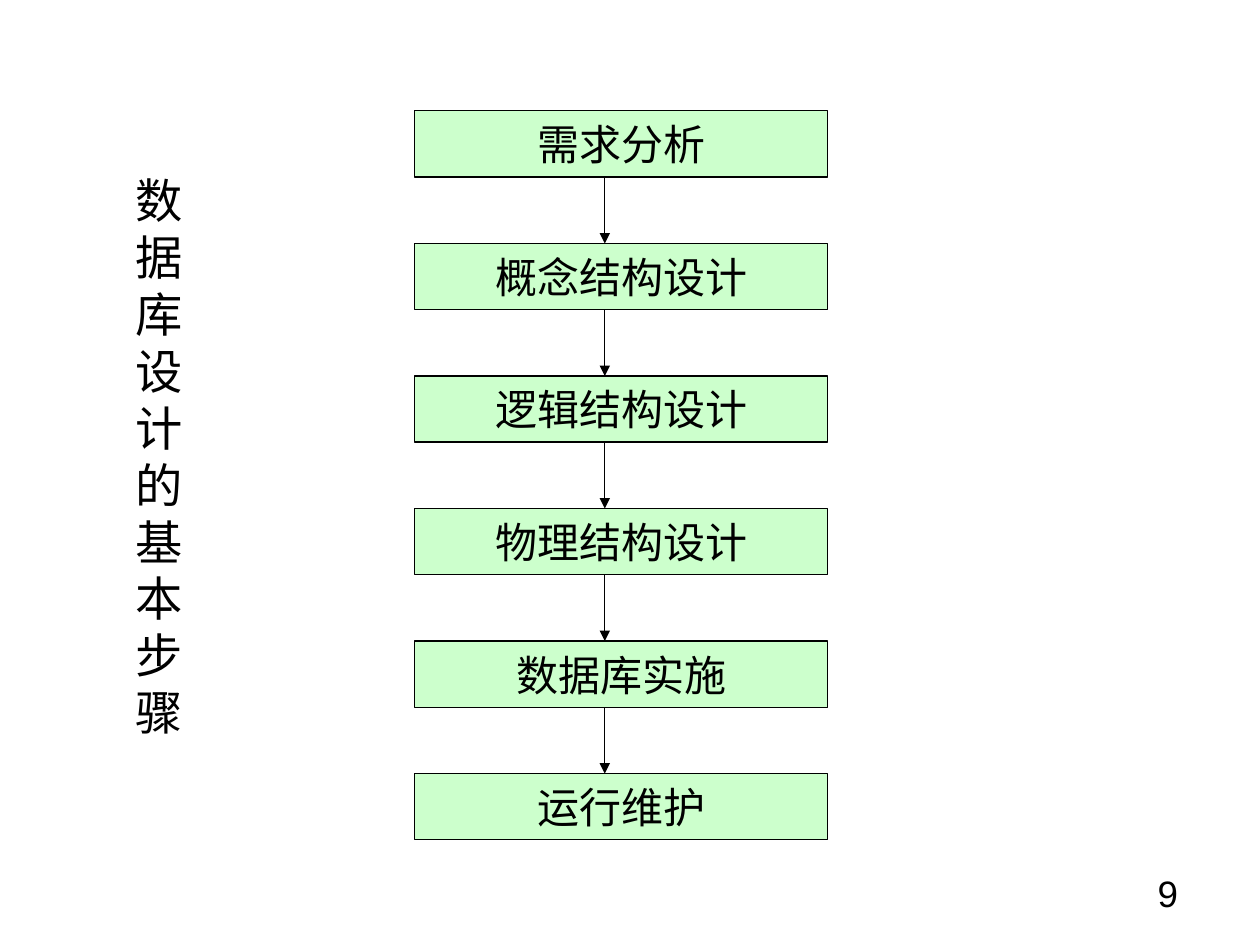
import pptx
import pptx.util
import pptx.dml.color
import pptx.enum.shapes
import pptx.enum.text
import pptx.oxml.ns
import lxml.etree

BLACK = pptx.dml.color.RGBColor(0x00, 0x00, 0x00)
PALE_GREEN = pptx.dml.color.RGBColor(0xCC, 0xFF, 0xCC)
CHINESE_FONT = "Noto Sans CJK SC"
LATIN_FONT = "Arial"
ALIGN = pptx.enum.text.PP_ALIGN
ANCHOR = pptx.enum.text.MSO_ANCHOR

STEPS = ["需求分析", "概念结构设计", "逻辑结构设计", "物理结构设计", "数据库实施", "运行维护"]

# Boxes and the gaps between them are grid rows of equal height
FIRST_TOP, LAST_TOP = 0.88, 6.14
ROW = (LAST_TOP - FIRST_TOP) / (2 * (len(STEPS) - 1))
BOX_LEFT, BOX_WIDTH = 3.29, 3.28
ARROW_X = 4.8


def row_top(row):
    return FIRST_TOP + row * ROW


class FlowSlide:
    """Holds the style and the current slide; lengths are in inches."""

    def __init__(self, presentation):
        self.slide = presentation.slides.add_slide(presentation.slide_layouts[6])
        self.line_width = pptx.util.Pt(0.75)

    def set_text(self, shape, text, size, font, align, anchor, insets=(0.1, 0.05)):
        frame = shape.text_frame
        frame.word_wrap = True
        frame.vertical_anchor = anchor
        frame.margin_left = frame.margin_right = pptx.util.Inches(insets[0])
        frame.margin_top = frame.margin_bottom = pptx.util.Inches(insets[1])
        frame.text = text
        paragraph = frame.paragraphs[0]
        paragraph.alignment = align
        for run in paragraph.runs:
            run.font.size = pptx.util.Pt(size)
            run.font.name = font
            run.font.color.rgb = BLACK
            east_asian = lxml.etree.SubElement(
                run._r.get_or_add_rPr(), pptx.oxml.ns.qn("a:ea"))
            east_asian.set("typeface", CHINESE_FONT)
        return paragraph

    def box(self, row, text):
        shape = self.slide.shapes.add_shape(
            pptx.enum.shapes.MSO_SHAPE.RECTANGLE,
            *map(pptx.util.Inches, (BOX_LEFT, row_top(row), BOX_WIDTH, ROW)))
        shape.shadow.inherit = False
        shape.fill.solid()
        shape.fill.fore_color.rgb = PALE_GREEN
        shape.line.color.rgb = BLACK
        shape.line.width = self.line_width
        self.set_text(shape, text, 24, CHINESE_FONT, ALIGN.CENTER, ANCHOR.MIDDLE)

    def arrow(self, row):
        connector = self.slide.shapes.add_connector(
            pptx.enum.shapes.MSO_CONNECTOR.STRAIGHT,
            *map(pptx.util.Inches, (ARROW_X, row_top(row), ARROW_X, row_top(row + 1))))
        connector.line.color.rgb = BLACK
        connector.line.width = self.line_width
        properties = connector._element.spPr
        tail = lxml.etree.SubElement(
            properties.find(pptx.oxml.ns.qn("a:ln")), pptx.oxml.ns.qn("a:tailEnd"))
        tail.set("type", "triangle")
        lxml.etree.SubElement(properties, pptx.oxml.ns.qn("a:effectLst"))

    def label(self, area, text, size, align, insets=(0.1, 0.05)):
        shape = self.slide.shapes.add_textbox(*map(pptx.util.Inches, area))
        return self.set_text(shape, text, size, LATIN_FONT, align, ANCHOR.TOP, insets)


def main():
    presentation = pptx.Presentation()
    presentation.slide_width = pptx.util.Inches(10)
    presentation.slide_height = pptx.util.Inches(7.5)
    flow = FlowSlide(presentation)

    # Design steps, then the arrows in the rows between them
    for index, step in enumerate(STEPS):
        flow.box(2 * index, step)
    for index in range(len(STEPS) - 1):
        flow.arrow(2 * index + 1)

    # Page number
    flow.label((7.17, 6.83, 2.33, 0.52), "9", 21, ALIGN.RIGHT, (0.15, 0.08))

    # Title in a box one character wide, so it runs downwards
    title = flow.label((0.98, 1.31, 0.79, 4.61), "数据库设计的基本步骤", 27, ALIGN.LEFT)
    title.line_spacing = pptx.util.Pt(32.5)

    presentation.save("out.pptx")


if __name__ == "__main__":
    main()
